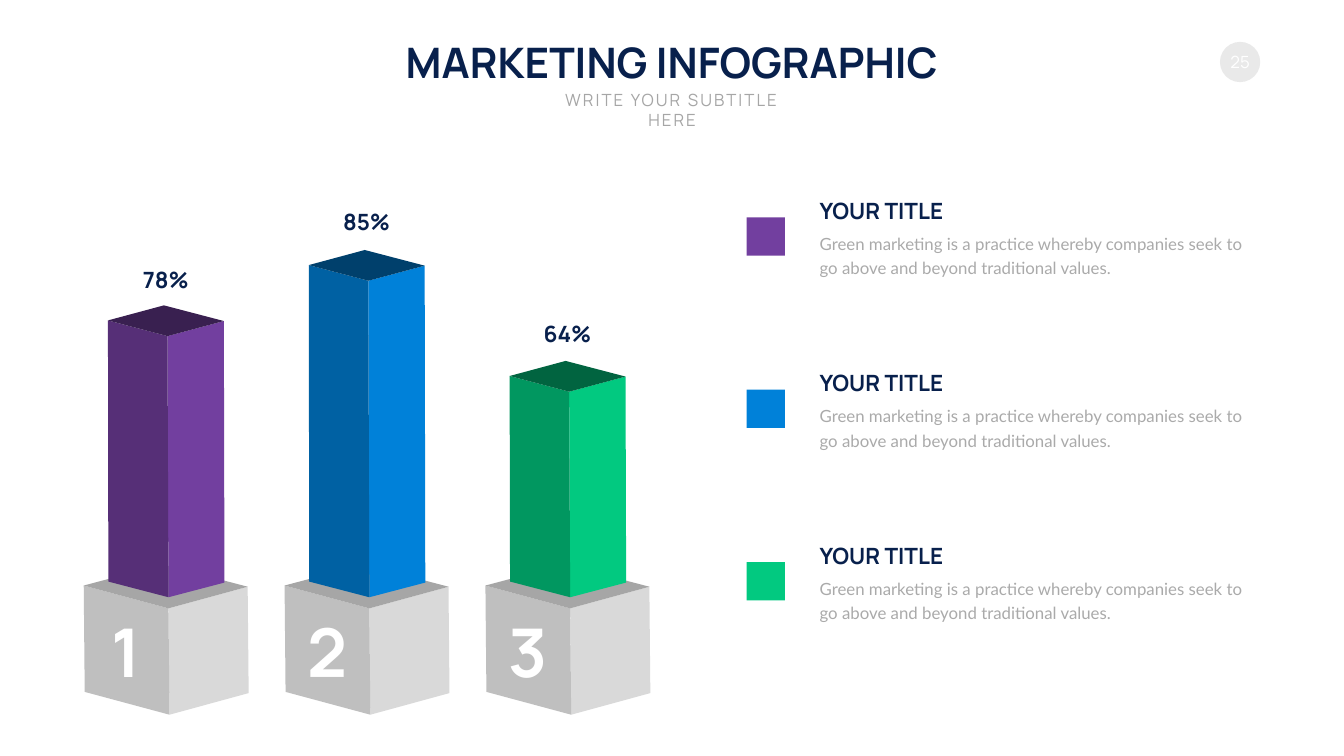
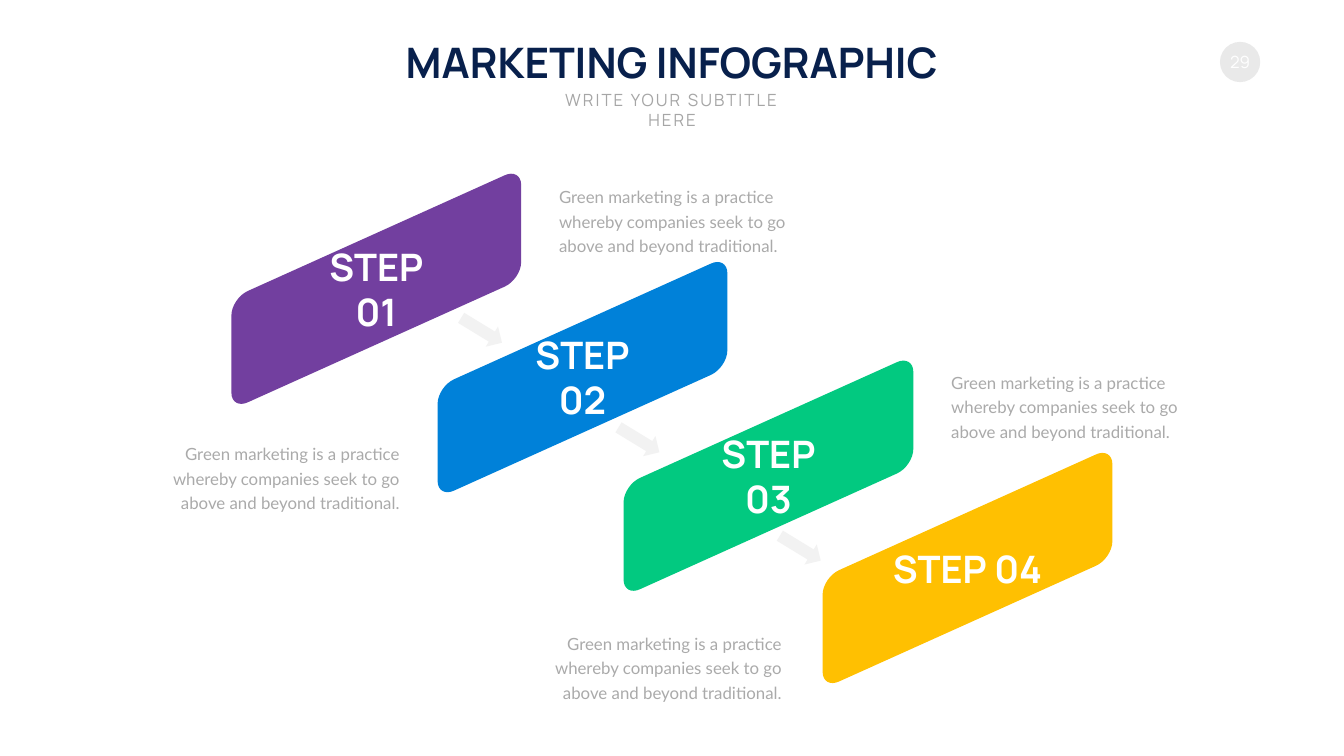
from lxml.etree import SubElement
from pptx import Presentation
from pptx.dml.color import RGBColor
from pptx.enum.shapes import MSO_SHAPE
from pptx.enum.text import MSO_ANCHOR, MSO_AUTO_SIZE, PP_ALIGN
from pptx.oxml.ns import qn
from pptx.util import Cm, Pt

NAVY = RGBColor(0x08, 0x20, 0x4C)
WHITE = RGBColor(0xFF, 0xFF, 0xFF)
BADGE = RGBColor(0xE9, 0xE9, 0xE9)
ARROW = RGBColor(0xF2, 0xF2, 0xF2)
SUBTITLE_GRAY = RGBColor(0xA6, 0xA6, 0xA6)
BODY_GRAY = RGBColor(0xAA, 0xAA, 0xAA)
PURPLE = RGBColor(0x72, 0x3F, 0x9F)
BLUE = RGBColor(0x00, 0x81, 0xD9)
GREEN = RGBColor(0x02, 0xC9, 0x80)
YELLOW = RGBColor(0xFF, 0xC0, 0x01)

PEDESTAL_FACES = (RGBColor(0xD9, 0xD9, 0xD9), RGBColor(0xBF, 0xBF, 0xBF), SUBTITLE_GRAY)
PURPLE_FACES = (PURPLE, RGBColor(0x56, 0x2F, 0x77), RGBColor(0x39, 0x20, 0x50))
BLUE_FACES = (BLUE, RGBColor(0x00, 0x61, 0xA3), RGBColor(0x00, 0x40, 0x6C))
GREEN_FACES = (GREEN, RGBColor(0x01, 0x97, 0x60), RGBColor(0x01, 0x64, 0x40))

HEADING_FONT = "Manrope"
BODY_FONT = "Lato"
SLIDE_WIDTH, SLIDE_HEIGHT = 67.72, 38.1

FLOOR_TOP = 28.45
TOWER_LEFT, TOWER_PITCH = 4.22, 10.12
TOWERS = [
    ("78%", 13.06, 2.11, PURPLE_FACES),
    ("85%", 15.85, 2.24, BLUE_FACES),
    ("64%", 10.26, 2.18, GREEN_FACES),
]
LEGEND_LEFT, LEGEND_TOP, LEGEND_PITCH = 37.62, 9.78, 8.69
LEGEND_TEXT = "Green marketing is a practice whereby companies seek to go above and beyond traditional values."

STEP_TEXT = "Green marketing is a practice whereby companies seek to go above and beyond traditional."
STEP_WIDTH, STEP_HEIGHT = 14.6, 11.89
STEPS = [
    (11.66, 8.61, PURPLE, 7.47, (16.26, 0.46), PP_ALIGN.LEFT),
    (22.05, 13.06, BLUE, 7.85, (-14.4, 8.97), PP_ALIGN.RIGHT),
    (31.42, 18.03, GREEN, 7.9, (16.26, 0.39), PP_ALIGN.LEFT),
    (41.45, 22.68, YELLOW, 8.05, (-14.55, 8.89), PP_ALIGN.RIGHT),
]
STEP_ARROWS = [(23.67, 15.44), (31.6, 20.96), (39.73, 26.42)]


def write(shape, text, size, color, font=HEADING_FONT, bold=False, align=PP_ALIGN.LEFT,
          anchor=MSO_ANCHOR.TOP, wrap=True, inset=True, leading=None, tracking=None):
    frame = shape.text_frame
    frame.auto_size = MSO_AUTO_SIZE.NONE
    frame.word_wrap = wrap
    frame.vertical_anchor = anchor
    if not inset:
        frame.margin_left = frame.margin_right = frame.margin_top = frame.margin_bottom = 0
    paragraph = frame.paragraphs[0]
    paragraph.alignment = align
    if leading:
        paragraph.line_spacing = Pt(leading)
    run = paragraph.add_run()
    run.text = text
    run.font.name = font
    run.font.size = Pt(size)
    run.font.bold = bold
    run.font.color.rgb = color
    if tracking:
        run.font._element.set("spc", str(tracking * 100))


def add_text(slide, box, text, size, color, **formatting):
    write(slide.shapes.add_textbox(*map(Cm, box)), text, size, color, **formatting)


def add_body(slide, box, text, align=PP_ALIGN.LEFT):
    add_text(slide, box, text, 24, BODY_GRAY, font=BODY_FONT, align=align, leading=35)


def paint(shape, color):
    shape.shadow.inherit = False
    shape.fill.solid()
    shape.fill.fore_color.rgb = color
    shape.line.fill.background()
    return shape


def add_preset(slide, preset, box, color):
    return paint(slide.shapes.add_shape(preset, *map(Cm, box)), color)


def add_outline(shapes, left, top, points, color):
    corners = [(Cm(left + x), Cm(top + y)) for x, y in points]
    builder = shapes.build_freeform(*corners[0], scale=1.0)
    builder.add_line_segments(corners[1:], close=True)
    return paint(builder.convert_to_shape(), color)


def add_header(slide, number):
    badge = add_preset(slide, MSO_SHAPE.OVAL, (61.47, 2.11, 2.03, 2.03), BADGE)
    write(badge, number, 24, WHITE, align=PP_ALIGN.CENTER, anchor=MSO_ANCHOR.MIDDLE,
          wrap=False, inset=False)
    title = slide.shapes.title
    title.left, title.top, title.width, title.height = map(Cm, (19.59, 1.7, 28.52, 2.82))
    write(title, "MARKETING INFOGRAPHIC", 60, NAVY, bold=True, align=PP_ALIGN.CENTER, wrap=False)
    add_text(slide, (26.97, 4.38, 13.79, 1.27), "WRITE YOUR SUBTITLE HERE", 24, SUBTITLE_GRAY,
             align=PP_ALIGN.CENTER, tracking=3)


def add_prism(shapes, left, top, roof, base, faces):
    roof_left, roof_back, roof_right, roof_front = roof
    base_left, base_right, base_front = base
    outlines = (
        (roof_right, base_right, base_front, roof_front),
        (base_front, base_left, roof_left, roof_front),
        roof,
    )
    for outline, color in zip(outlines, faces):
        add_outline(shapes, left, top, outline, color)


def add_tower(slide, left, top, number, percent, height, label_rise, faces):
    tower = slide.shapes.add_group_shape().shapes
    add_prism(tower, left, top,
              ((0, 1.06), (3.99, 0), (8.26, 1.12), (4.27, 2.21)),
              ((0.05, 6.42), (8.31, 6.48), (4.32, 7.57)), PEDESTAL_FACES)
    add_prism(tower, left, top,
              ((1.22, 0.76 - height), (4.04, -height), (7.06, 0.79 - height), (4.22, 1.55 - height)),
              ((1.24, 0.86), (7.09, 0.91), (4.27, 1.65)), faces)
    label = dict(bold=True, align=PP_ALIGN.CENTER, anchor=MSO_ANCHOR.MIDDLE, wrap=False)
    add_text(slide, (left + 1.15, top + 2.26, 2, 4.11), str(number), 96, WHITE, inset=False, **label)
    add_text(slide, (left + 2.65, top - height - label_rise, 2.97, 1.63), percent, 32, NAVY, **label)


def add_legend_entry(slide, left, top, color):
    add_preset(slide, MSO_SHAPE.RECTANGLE, (left, top + 1.17, 1.93, 1.93), color)
    add_body(slide, (left + 3.43, top + 1.64, 22.43, 2.62), LEGEND_TEXT)
    add_text(slide, (left + 3.43, top, 6.81, 1.63), "YOUR TITLE", 32, NAVY, bold=True,
             anchor=MSO_ANCHOR.MIDDLE)


def step_outline():
    left_side = [(0.84, 11.66), (0.38, 11.88), (0, 11.66), (0, 11.18),
                 (0, 7.29), (0, 6.81), (0.38, 6.25), (0.84, 6.05)]
    return left_side + [(STEP_WIDTH - x, STEP_HEIGHT - y) for x, y in left_side]


def round_corners(panel):
    segments = list(panel._element.iter(qn("a:lnTo")))
    for first in range(0, len(segments), 4):
        corner = segments[first:first + 3]
        outline = corner[0].getparent()
        bend = SubElement(outline, qn("a:cubicBezTo"))
        outline.insert(outline.index(corner[0]), bend)
        for segment in corner:
            bend.append(segment[0])
            outline.remove(segment)


def add_step(slide, left, top, number, color, label_width, note_offset, note_align):
    round_corners(add_outline(slide.shapes, left, top, step_outline(), color))
    label_box = (left + (STEP_WIDTH - label_width) / 2, top + (STEP_HEIGHT - 2.57) / 2,
                 label_width, 2.57)
    add_text(slide, label_box, f"STEP {number:02}", 54, WHITE, bold=True,
             align=PP_ALIGN.CENTER, anchor=MSO_ANCHOR.MIDDLE)
    note_x, note_y = note_offset
    add_body(slide, (left + note_x, top + note_y, 12.73, 3.86), STEP_TEXT, note_align)


def add_step_arrow(slide, left, top):
    arrow = add_preset(slide, MSO_SHAPE.DOWN_ARROW, (left, top, 1.19, 2.41), ARROW)
    arrow.rotation = 301.4


def build_tower_slide(slide):
    add_header(slide, "25")
    for index, (percent, height, label_rise, faces) in enumerate(TOWERS):
        add_tower(slide, TOWER_LEFT + index * TOWER_PITCH, FLOOR_TOP, index + 1,
                  percent, height, label_rise, faces)
        add_legend_entry(slide, LEGEND_LEFT, LEGEND_TOP + index * LEGEND_PITCH, faces[0])


def build_step_slide(slide):
    add_header(slide, "29")
    for number, (left, top, *details) in enumerate(STEPS, start=1):
        add_step(slide, left, top, number, *details)
    for left, top in STEP_ARROWS:
        add_step_arrow(slide, left, top)


def main():
    deck = Presentation()
    deck.slide_width, deck.slide_height = Cm(SLIDE_WIDTH), Cm(SLIDE_HEIGHT)
    title_only = deck.slide_layouts[5]
    for build in (build_tower_slide, build_step_slide):
        build(deck.slides.add_slide(title_only))
    deck.save("out.pptx")


if __name__ == "__main__":
    main()
